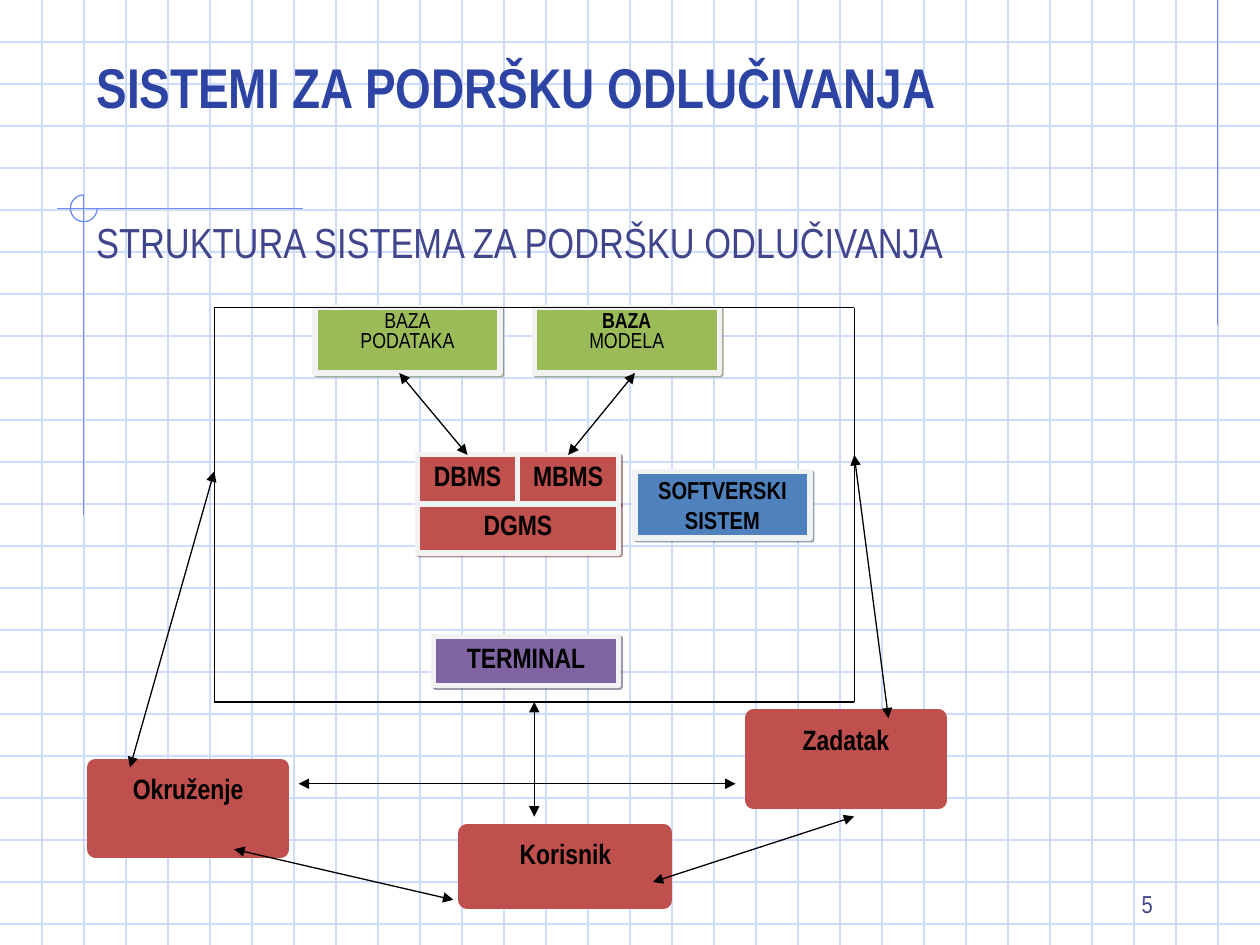
from pptx import Presentation
from pptx.dml.color import RGBColor
from pptx.enum.shapes import MSO_CONNECTOR, MSO_SHAPE
from pptx.enum.text import MSO_ANCHOR, MSO_AUTO_SIZE, PP_ALIGN
from pptx.oxml.ns import qn
from pptx.oxml.xmlchemy import OxmlElement
from pptx.util import Cm, Pt

STRAIGHT = MSO_CONNECTOR.STRAIGHT
RECTANGLE, ARC = MSO_SHAPE.RECTANGLE, MSO_SHAPE.ARC
TOP, BOTTOM = MSO_ANCHOR.TOP, MSO_ANCHOR.BOTTOM
LEFT, CENTER, RIGHT = PP_ALIGN.LEFT, PP_ALIGN.CENTER, PP_ALIGN.RIGHT
TOP_SIDE = 0

FONT = "Arial Narrow"
WIDTH, HEIGHT = 25.4, 19.05
GRID_STEP = WIDTH / 30
COLORS = {
    "grid": "CFDBFD",
    "ornament": "6F89F7",
    "title": "2D44A4",
    "text": "40458C",
    "black": "000000",
    "border": "F2F2F2",
    "green": "9BBB59",
    "red": "C0504D",
    "purple": "8064A2",
    "blue": "4F81BD",
}
SHADOWS = {"green": "4E6128", "red": "622423", "purple": "3F3151", "blue": "243F60"}

FRAMED_BOXES = [
    (["BAZA", "PODATAKA"], "green", (6.35, 6.2, 3.73, 1.32), 12.4, [False, False]),
    (["BAZA", "MODELA"], "green", (10.77, 6.2, 3.73, 1.32), 12.4, [True, False]),
    (["DBMS"], "red", (8.41, 9.17, 2.03, 0.99), 16, [True]),
    (["MBMS"], "red", (10.44, 9.17, 2.03, 0.99), 16, [True]),
    (["DGMS"], "red", (8.41, 10.16, 4.06, 0.99), 16, [True]),
    (["TERMINAL"], "purple", (8.74, 12.83, 3.73, 0.99), 16, [True]),
    (["SOFTVERSKI SISTEM"], "blue", (12.8, 9.5, 3.53, 1.35), 14, [True]),
]
PLAIN_BOXES = [
    ("Okruženje", (1.93, 15.47, 3.73, 1.65)),
    ("Zadatak", (15.19, 14.48, 3.73, 1.65)),
    ("Korisnik", (9.42, 16.79, 3.96, 1.35)),
]
ARROWS = [
    ((10.77, 14.15), (10.77, 16.46)),
    ((6.02, 15.8), (14.83, 15.8)),
    ((17.22, 16.46), (13.16, 17.78)),
    ((9.14, 18.14), (4.72, 17.12)),
    ((4.32, 9.5), (2.62, 15.47)),
    ((17.22, 9.17), (17.91, 14.48)),
]
FRAME_CORNERS = [(4.32, 14.15), (4.32, 6.2), (17.22, 6.2), (17.22, 14.15)]


def rgb(name):
    return RGBColor.from_string(COLORS[name])


def set_attributes(target, values):
    for name, value in values.items():
        setattr(target, name, value)


def write_text(frame, lines, size, color, bolds, align, anchor, spacing=1.0):
    set_attributes(frame, {
        "word_wrap": True,
        "auto_size": MSO_AUTO_SIZE.NONE,
        "vertical_anchor": anchor,
    })
    for index, (line, bold) in enumerate(zip(lines, bolds)):
        paragraph = frame.add_paragraph() if index else frame.paragraphs[0]
        set_attributes(paragraph, {
            "text": line, "alignment": align, "line_spacing": spacing,
        })
        font = paragraph.runs[0].font
        set_attributes(font, {"name": FONT, "size": Pt(size), "bold": bold})
        font.color.rgb = rgb(color)


def add_line(slide, start, end, color, arrows=False):
    connector = slide.shapes.add_connector(
        STRAIGHT, *(Cm(value) for value in (*start, *end)))
    connector.line.width = Pt(0.75)
    connector.line.color.rgb = rgb(color)
    properties = connector.element.spPr
    if arrows:
        outline = properties.find(qn("a:ln"))
        for tag in ("a:headEnd", "a:tailEnd"):
            arrowhead = OxmlElement(tag)
            arrowhead.set("type", "triangle")
            outline.append(arrowhead)
    properties.append(OxmlElement("a:effectLst"))
    return connector


def add_shadow(shape, color):
    shadow = OxmlElement("a:outerShdw")
    for name, value in {"dist": "17780", "dir": "2700000", "rotWithShape": "0"}.items():
        shadow.set(name, value)
    tint = OxmlElement("a:srgbClr")
    tint.set("val", color)
    alpha = OxmlElement("a:alpha")
    alpha.set("val", "50000")
    tint.append(alpha)
    shadow.append(tint)
    shape.element.spPr.find(qn("a:effectLst")).append(shadow)


def add_box(slide, lines, fill, place, size, bolds, border, border_width):
    shape = slide.shapes.add_shape(RECTANGLE, *(Cm(value) for value in place))
    shape.shadow.inherit = False
    shape.fill.solid()
    shape.fill.fore_color.rgb = rgb(fill)
    shape.line.color.rgb = rgb(border)
    shape.line.width = Pt(border_width)
    frame = shape.text_frame
    set_attributes(frame, {
        "margin_left": Cm(0.15), "margin_right": Cm(0.15),
        "margin_top": Cm(0.08), "margin_bottom": Cm(0.08),
    })
    spacing = 0.8 if len(lines) > 1 else 1.0
    write_text(frame, lines, size, "black", bolds, CENTER, TOP, spacing)
    return shape


def add_label(slide, text, place, size, align, anchor):
    box = slide.shapes.add_textbox(*(Cm(value) for value in place))
    write_text(box.text_frame, [text], size, "text", [False], align, anchor)


def add_background(slide):
    for row in range(1, 23):
        add_line(slide, (0, row * GRID_STEP), (WIDTH, row * GRID_STEP), "grid")
    for column in range(1, 30):
        add_line(slide, (column * GRID_STEP, 0), (column * GRID_STEP, HEIGHT), "grid")
    add_line(slide, (24.55, 0), (24.55, 6.55), "ornament")
    add_line(slide, (6.1, 4.21), (1.15, 4.21), "ornament")
    add_line(slide, (1.69, 3.93), (1.69, 10.39), "ornament")
    arc = slide.shapes.add_shape(ARC, Cm(1.42), Cm(3.93), Cm(0.54), Cm(0.54))
    arc.shadow.inherit = False
    arc.adjustments[0] = 0
    arc.adjustments[1] = 162
    arc.fill.background()
    arc.line.color.rgb = rgb("ornament")
    arc.line.width = Pt(0.75)


def format_title(slide, text):
    title = slide.shapes.title
    set_attributes(title, {
        "left": Cm(1.69), "top": Cm(0.85), "width": Cm(21.59), "height": Cm(1.69),
    })
    write_text(title.text_frame, [text], 32, "title", [True], LEFT, BOTTOM)
    title.element.getparent().append(title.element)


def add_diagram(slide):
    boxes = {}
    for lines, fill, place, size, bolds in FRAMED_BOXES:
        box = add_box(slide, lines, fill, place, size, bolds, "border", 3)
        add_shadow(box, SHADOWS[fill])
        boxes[" ".join(lines)] = box
    for label, place in PLAIN_BOXES:
        add_box(slide, [label], "red", place, 16, [True], "red", 10)
    for start, end in zip(FRAME_CORNERS, FRAME_CORNERS[1:] + FRAME_CORNERS[:1]):
        add_line(slide, start, end, "black")
    for start, target in (((8.05, 7.52), "DBMS"), ((12.8, 7.52), "MBMS")):
        arrow = add_line(slide, start, start, "black", arrows=True)
        arrow.end_connect(boxes[target], TOP_SIDE)
    for start, end in ARROWS:
        add_line(slide, start, end, "black", arrows=True)


def main():
    presentation = Presentation()
    presentation.slide_width, presentation.slide_height = Cm(WIDTH), Cm(HEIGHT)
    slide = presentation.slides.add_slide(presentation.slide_layouts[5])
    add_background(slide)
    format_title(slide, "SISTEMI ZA PODRŠKU ODLUČIVANJA")
    add_label(slide, "5", (18.2, 17.36, 5.29, 1.27), 14, RIGHT, BOTTOM)
    add_label(slide, "STRUKTURA SISTEMA ZA PODRŠKU ODLUČIVANJA",
              (1.69, 4.23, 22.86, 2.29), 24, LEFT, TOP)
    add_diagram(slide)
    presentation.save("out.pptx")


if __name__ == "__main__":
    main()
